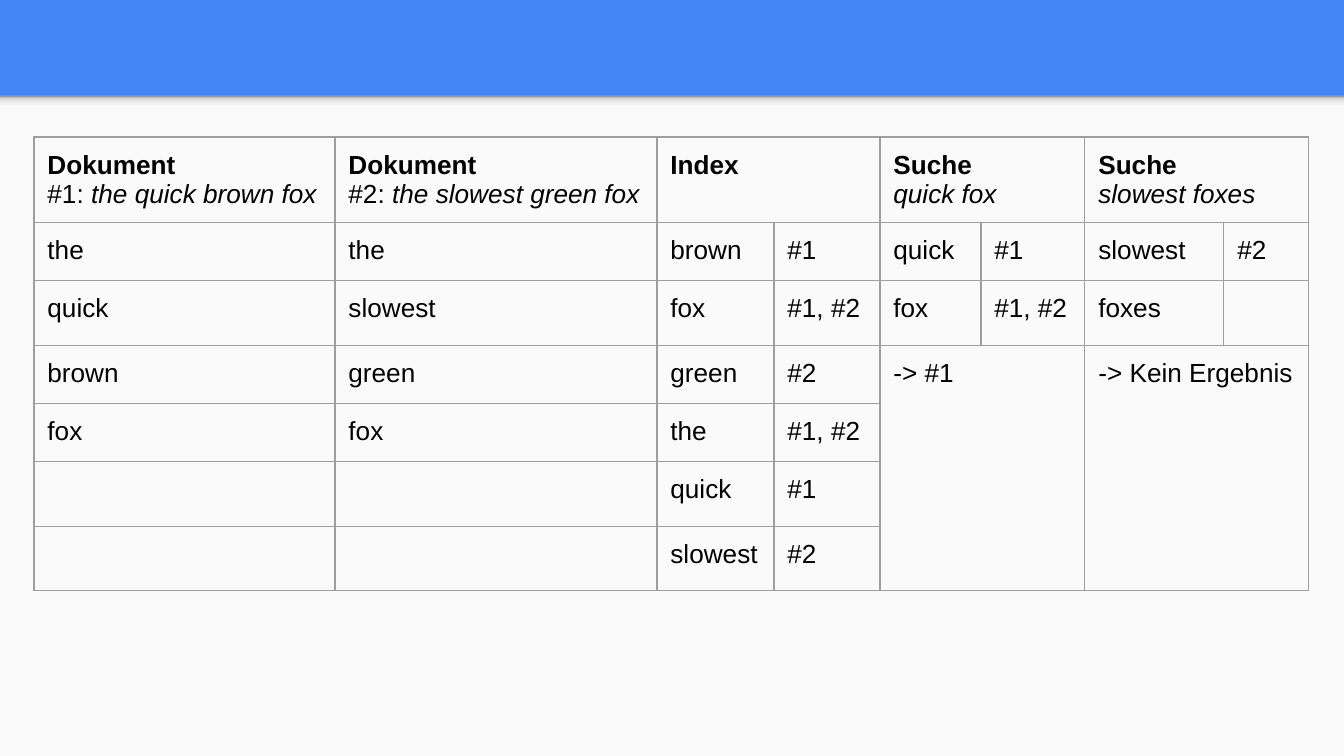
from copy import deepcopy

from pptx import Presentation
from pptx.dml.color import RGBColor
from pptx.enum.shapes import MSO_SHAPE
from pptx.oxml import parse_xml
from pptx.oxml.ns import nsdecls, qn
from pptx.util import Emu, Pt

RECTANGLE = MSO_SHAPE.RECTANGLE
BLANK_LAYOUT = 6
EMU_PER_PX = 914400 / 134.4
WIDTH, HEIGHT, BANNER_HEIGHT = 1344, 756, 96

COLORS = {"banner": "4285F4", "page": "FAFAFA", "text": "000000", "border": "9E9E9E"}
SHADOW_STOPS = [(0, "F9F9F9"), (0.36, "F9F9F9"), (0.8, "DEDEDE"), (1, "999999")]

COLUMN_WIDTHS = [301, 322, 117, 106, 101, 104, 139, 85]
ROW_HEIGHTS = [85, 58, 65, 58, 58, 65, 64]
# Column: title, plain prefix, italic phrase
HEADERS = {
    0: ("Dokument", "#1: ", "the quick brown fox"),
    1: ("Dokument", "#2: ", "the slowest green fox"),
    2: ("Index", "", ""),
    4: ("Suche", "", "quick fox"),
    6: ("Suche", "", "slowest foxes"),
}
BODY = [
    ["the", "the", "brown", "#1", "quick", "#1", "slowest", "#2"],
    ["quick", "slowest", "fox", "#1, #2", "fox", "#1, #2", "foxes", ""],
    ["brown", "green", "green", "#2", "-> #1", "", "-> Kein Ergebnis", ""],
    ["fox", "fox", "the", "#1, #2", "", "", "", ""],
    ["", "", "quick", "#1", "", "", "", ""],
    ["", "", "slowest", "#2", "", "", "", ""],
]
# First row, first column, last row, last column
MERGES = [(0, 2, 0, 3), (0, 4, 0, 5), (0, 6, 0, 7), (3, 4, 6, 5), (3, 6, 6, 7)]


def px(value):
    return Emu(round(value * EMU_PER_PX))


def add_rectangle(slide, top, height):
    """Add a borderless rectangle across the whole slide."""
    shape = slide.shapes.add_shape(RECTANGLE, 0, px(top), px(WIDTH), px(height))
    shape.shadow.inherit = False
    shape.line.fill.background()
    return shape


def fill_gradient(shape, stops, angle):
    shape.fill.gradient()
    shape.fill.gradient_angle = angle
    stop_list = shape._element.spPr.find(".//" + qn("a:gsLst"))
    while len(stop_list) < len(stops):
        stop_list.append(deepcopy(stop_list[0]))
    for stop, (position, color) in zip(shape.fill.gradient_stops, stops):
        stop.position = position
        stop.color.rgb = RGBColor.from_string(color)


def style_cell(cell):
    properties = cell._tc.get_or_add_tcPr()
    for side in ("lnL", "lnR", "lnT", "lnB"):
        properties.append(parse_xml(
            f'<a:{side} {nsdecls("a")} w="{Pt(0.75)}"><a:solidFill>'
            f'<a:srgbClr val="{COLORS["border"]}"/></a:solidFill></a:{side}>'))
    cell.fill.background()
    cell.margin_left = cell.margin_right = Pt(7.2)
    cell.margin_top = cell.margin_bottom = Pt(7.2)
    font = cell.text_frame.paragraphs[0].font
    font.name = "Arial"
    font.size = Pt(14)
    font.color.rgb = RGBColor.from_string(COLORS["text"])


def write_header(cell, title, prefix, phrase):
    paragraph = cell.text_frame.paragraphs[0]
    run = paragraph.add_run()
    run.text = title
    run.font.bold = True
    if phrase:
        paragraph.add_line_break()
    if prefix:
        paragraph.add_run().text = prefix
    if phrase:
        run = paragraph.add_run()
        run.text = phrase
        run.font.italic = True


def add_index_table(slide, left, top):
    table = slide.shapes.add_table(
        len(ROW_HEIGHTS), len(COLUMN_WIDTHS), px(left), px(top),
        px(sum(COLUMN_WIDTHS)), px(sum(ROW_HEIGHTS))).table
    table.first_row = table.horz_banding = False
    for column, width in zip(table.columns, COLUMN_WIDTHS):
        column.width = px(width)
    for row, height in zip(table.rows, ROW_HEIGHTS):
        row.height = px(height)
    for column, header in HEADERS.items():
        write_header(table.cell(0, column), *header)
    for row, texts in enumerate(BODY, start=1):
        for column, text in enumerate(texts):
            if text:
                table.cell(row, column).text = text
    for cell in table.iter_cells():
        style_cell(cell)
    for first_row, first_column, last_row, last_column in MERGES:
        table.cell(first_row, first_column).merge(table.cell(last_row, last_column))


def main():
    presentation = Presentation()
    presentation.slide_width, presentation.slide_height = px(WIDTH), px(HEIGHT)
    slide = presentation.slides.add_slide(presentation.slide_layouts[BLANK_LAYOUT])
    background = slide.background.fill
    background.solid()
    background.fore_color.rgb = RGBColor.from_string(COLORS["banner"])

    page = add_rectangle(slide, BANNER_HEIGHT, HEIGHT - BANNER_HEIGHT)
    page.fill.solid()
    page.fill.fore_color.rgb = RGBColor.from_string(COLORS["page"])
    banner_shadow = add_rectangle(slide, BANNER_HEIGHT, 16)
    fill_gradient(banner_shadow, SHADOW_STOPS, 90)
    add_index_table(slide, 34, 137)
    presentation.save("out.pptx")


if __name__ == "__main__":
    main()
